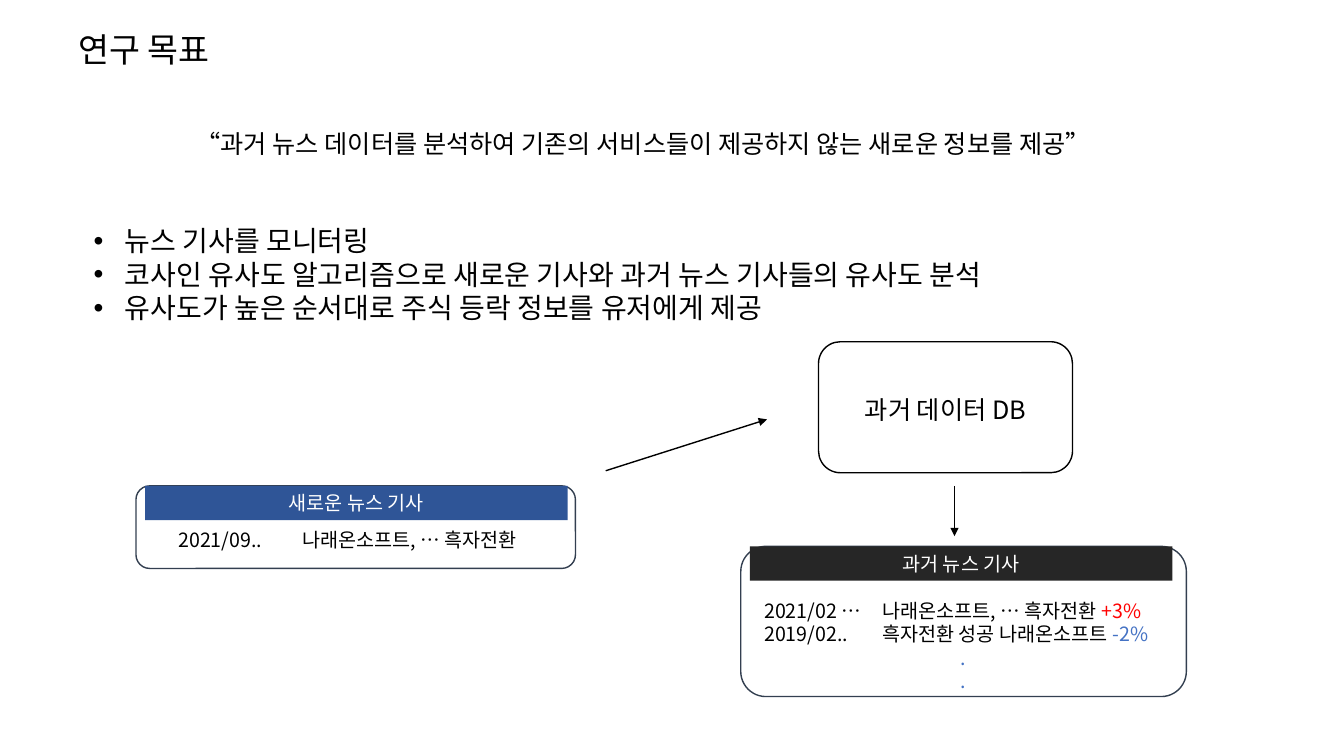
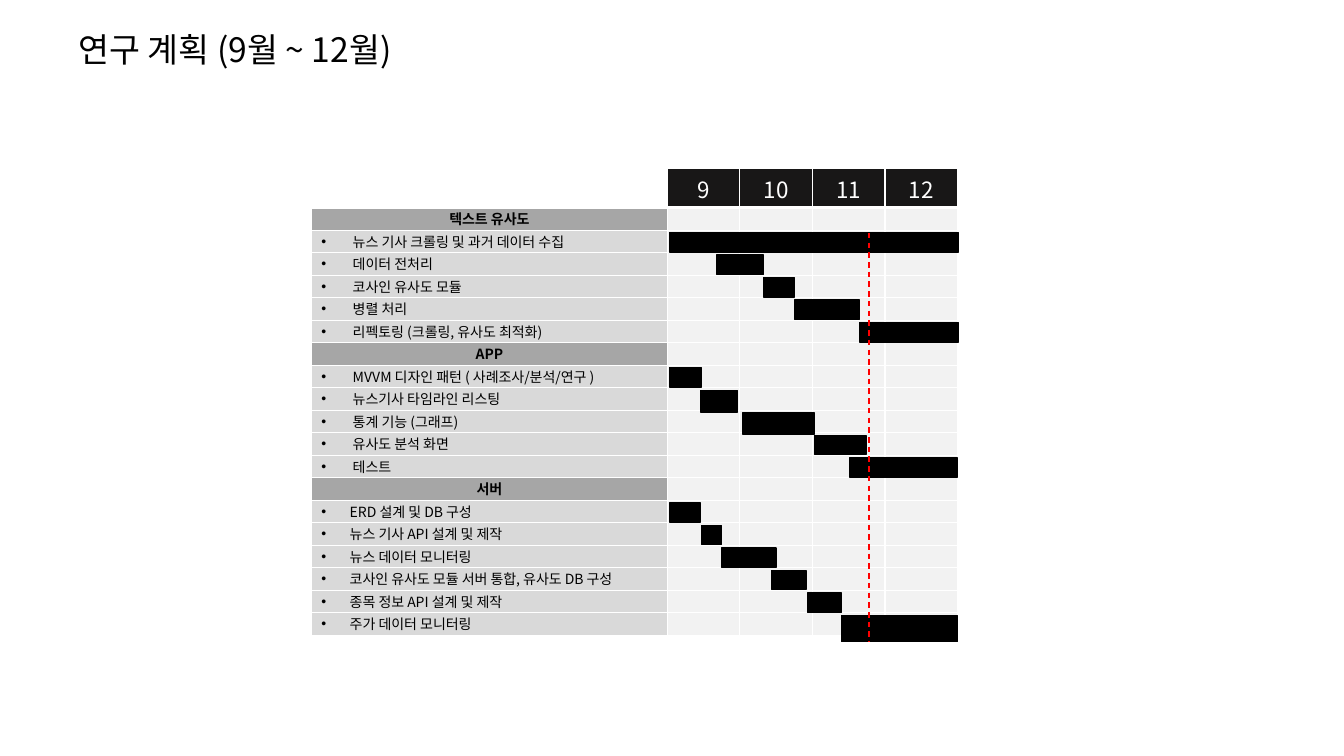
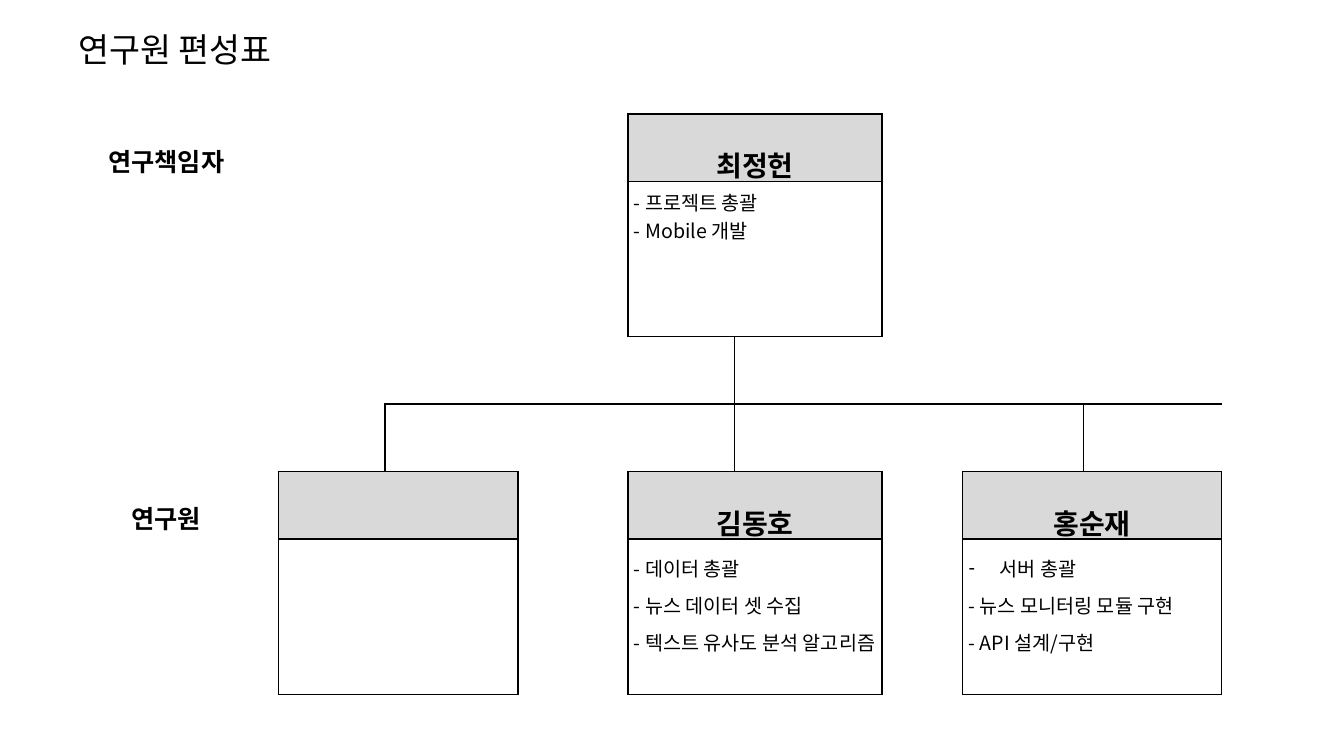
import pptx
import pptx.util
import pptx.dml.color
import pptx.enum.dml
import pptx.enum.shapes
import pptx.enum.text
import pptx.oxml.ns
from lxml import etree

FONT = "Noto Sans CJK KR"
WIDE, HIGH = 13.33, 7.5
HUES = {
    "black": "000000", "white": "FFFFFF", "navy": "333F50", "blue": "2F5597",
    "sky": "4472C4", "red": "FF0000", "coal": "262626", "ink": "181717",
    "mid": "A6A6A6", "light": "D9D9D9", "pale": "F2F2F2",
}
KINDS = pptx.enum.shapes.MSO_SHAPE
ALIGN = pptx.enum.text.PP_ALIGN
MID = pptx.enum.text.MSO_ANCHOR.MIDDLE
TOP = pptx.enum.text.MSO_ANCHOR.TOP
Pt = pptx.util.Pt
Inch = pptx.util.Inches
qn = pptx.oxml.ns.qn


# Units: shares of the slide in percent
def across(part):
    return Inch(WIDE * part / 100)


def down(part):
    return Inch(HIGH * part / 100)


def place(x, y, w, h):
    return across(x), down(y), across(w), down(h)


def hue(name):
    return pptx.dml.color.RGBColor.from_string(HUES[name])


# Text
def write(par, runs, size, color="black", bold=False, align=ALIGN.LEFT,
          lead=None, mark=None, hang=0.31, tab=None):
    """Fill a paragraph; runs is a text or a list of (text, color)."""
    par.alignment = align
    if lead:
        par.line_spacing = lead
    props = par._p.get_or_add_pPr()
    if mark:
        props.set("marL", str(Inch(hang)))
        props.set("indent", str(-Inch(hang)))
        etree.SubElement(props, qn("a:buFont"), typeface="Arial")
        etree.SubElement(props, qn("a:buChar"), char=mark)
    if tab:
        tabs = etree.SubElement(props, qn("a:tabLst"))
        etree.SubElement(tabs, qn("a:tab"), pos=str(Inch(tab)), algn="l")
    for text, tint in [(runs, color)] if isinstance(runs, str) else runs:
        run = par.add_run()
        run.text = text
        run.font.name = FONT
        run.font.size = Pt(size)
        run.font.bold = bold
        run.font.color.rgb = hue(tint)
        etree.SubElement(run._r.get_or_add_rPr(), qn("a:ea"), typeface=FONT)


def lines(frame, items, size, **style):
    """Write items as paragraphs; an item may be (runs, own style)."""
    frame.word_wrap = True
    for num, item in enumerate(items):
        runs, own = item if isinstance(item, tuple) else (item, {})
        par = frame.add_paragraph() if num else frame.paragraphs[0]
        write(par, runs, size, **{**style, **own})


def note(slide, spot, items, size, **style):
    box = slide.shapes.add_textbox(*place(*spot))
    lines(box.text_frame, items, size, **style)


# Shapes and lines
def block(slide, kind, spot, fill, edge=None):
    shape = slide.shapes.add_shape(kind, *place(*spot))
    shape.shadow.inherit = False
    shape.fill.solid()
    shape.fill.fore_color.rgb = hue(fill)
    if edge:
        shape.line.color.rgb = hue(edge)
        shape.line.width = Pt(1)
    else:
        shape.line.fill.background()
    shape.text_frame.vertical_anchor = MID
    return shape


def card(slide, spot, edge, items, size, gap=0.05, side=0.1, **style):
    frame = block(slide, KINDS.ROUNDED_RECTANGLE, spot, "white", edge).text_frame
    frame.margin_top, frame.margin_bottom = Inch(gap), Inch(0)
    frame.margin_left = frame.margin_right = Inch(side)
    lines(frame, items, size, **style)


def label(slide, x, y, fill, text):
    bar = block(slide, KINDS.RECTANGLE, (x, y, 31.43, 4.53), fill)
    lines(bar.text_frame, [text], 14, color="white", align=ALIGN.CENTER)


def rule(slide, start, end, color, arrow=False, dash=False):
    line = slide.shapes.add_connector(
        pptx.enum.shapes.MSO_CONNECTOR.STRAIGHT,
        across(start[0]), down(start[1]), across(end[0]), down(end[1]))
    line.line.color.rgb = hue(color)
    line.line.width = Pt(1)
    if dash:
        line.line.dash_style = pptx.enum.dml.MSO_LINE.DASH
    if arrow:
        etree.SubElement(line.line._get_or_add_ln(), qn("a:tailEnd"),
                         type="triangle")
    etree.SubElement(line._element.spPr, qn("a:effectLst"))


# Tables
def grid(slide, x, y, cols, rows):
    table = slide.shapes.add_table(
        len(rows), len(cols), *place(x, y, sum(cols), sum(rows))).table
    table.first_row = table.horz_banding = False
    for col, part in zip(table.columns, cols):
        col.width = across(part)
    for row, part in zip(table.rows, rows):
        row.height = down(part)
    return table


def border(cell, edges):
    """Set (color, width) or None for left, right, top and bottom."""
    props = cell._tc.get_or_add_tcPr()
    for side, edge in zip("LRTB", edges):
        line = etree.SubElement(props, qn("a:ln" + side))
        if edge:
            line.set("w", str(Pt(edge[1])))
            fill = etree.SubElement(line, qn("a:solidFill"))
            etree.SubElement(fill, qn("a:srgbClr"), val=HUES[edge[0]])
        else:
            etree.SubElement(line, qn("a:noFill"))


def paint(cell, fill=None):
    if fill:
        cell.fill.solid()
        cell.fill.fore_color.rgb = hue(fill)
    else:
        cell.fill.background()


def pad(cell, side, rise, anchor=MID):
    cell.margin_left = cell.margin_right = Inch(side)
    cell.margin_top = cell.margin_bottom = Inch(rise)
    cell.vertical_anchor = anchor


def blank(cell):
    pad(cell, 0, 0)
    etree.SubElement(cell.text_frame.paragraphs[0]._p,
                     qn("a:endParaRPr"), sz="800")


# Slides
def start(deck, title):
    slide = deck.slides.add_slide(deck.slide_layouts[6])
    note(slide, (5.1, 3.2, 40, 6.67), [title], 24)
    return slide


def goal(deck):
    slide = start(deck, "연구 목표")
    note(slide, (6.22, 28.93, 82.05, 14.8), [
        "뉴스 기사를 모니터링",
        "코사인 유사도 알고리즘으로 새로운 기사와 과거 뉴스 기사들의 유사도 분석",
        "유사도가 높은 순서대로 주식 등락 정보를 유저에게 제공",
    ], 20, mark="•")
    note(slide, (13.8, 16.27, 78.07, 9.47), [
        "“과거 뉴스 데이터를 분석하여 기존의 서비스들이 제공하지 않는 새로운 정보를 제공”",
    ], 18)

    # New article
    card(slide, (10.12, 64.27, 32.7, 10.93), "navy",
         ["2021/09..\t나래온소프트, … 흑자전환"], 14,
         gap=0.24, side=0.38, tab=1.23)
    label(slide, 10.8, 64.27, "blue", "새로운 뉴스 기사")

    # Past articles
    dot = ([(".", "sky")], {"align": ALIGN.CENTER})
    card(slide, (55.12, 72.27, 33.15, 19.87), "navy", [
        ([("2021/02 …\t나래온소프트, … 흑자전환 ", "black"), ("+3%", "red")],
         {"tab": 1.17}),
        ([("2019/02..\t흑자전환 성공 나래온소프트 ", "black"), ("-2%", "sky")],
         {"tab": 1.17}),
        dot, dot,
    ], 14, gap=0.48, side=0.16)
    label(slide, 55.8, 72.27, "coal", "과거 뉴스 기사")

    # Database and flow
    card(slide, (60.9, 45.2, 18.9, 17.33), "black", ["과거 데이터 DB"], 18,
         align=ALIGN.CENTER)
    rule(slide, (45.07, 62.27), (57.07, 55.47), "black", arrow=True)
    rule(slide, (71.02, 64.27), (71.02, 70.93), "black", arrow=True)


# Group, bullet indent, tasks as (name, start, length in months, bar height)
PLAN = [
    ("텍스트 유사도", 0.31, [
        ("뉴스 기사 크롤링 및 과거 데이터 수집", 0.03, 3.98, 2.55),
        ("데이터 전처리", 0.68, 0.65, 2.55),
        ("코사인 유사도 모듈", 1.33, 0.42, 2.55),
        ("병렬 처리", 1.75, 0.9, 2.55),
        ("리펙토링 (크롤링, 유사도 최적화)", 2.65, 1.36, 2.55)]),
    ("APP", 0.31, [
        ("MVVM 디자인 패턴 ( 사례조사/분석/연구 )", 0.03, 0.44, 2.55),
        ("뉴스기사 타임라인 리스팅", 0.46, 0.51, 2.9),
        ("통계 기능 (그래프)", 1.04, 0.99, 2.8),
        ("유사도 분석 화면", 2.03, 0.71, 2.55),
        ("테스트", 2.51, 1.49, 2.55)]),
    ("서버", 0.28, [
        ("ERD 설계 및 DB 구성", 0.03, 0.43, 2.55),
        ("뉴스 기사 API 설계 및 제작", 0.47, 0.28, 2.55),
        ("뉴스 데이터 모니터링", 0.75, 0.75, 2.55),
        ("코사인 유사도 모듈 서버 통합, 유사도 DB 구성", 1.44, 0.47, 2.55),
        ("종목 정보 API 설계 및 제작", 1.93, 0.47, 2.55),
        ("주가 데이터 모니터링", 2.4, 1.6, 3.47)]),
]


def plan(deck):
    slide = start(deck, "연구 계획 (9월 ~ 12월)")
    left, top, name, month, head, step = 23.17, 22.27, 26.48, 5.4, 5.2, 2.98
    count = sum(1 + len(tasks) for _, _, tasks in PLAN)
    table = grid(slide, left, top, [name] + [month] * 4, [head] + [step] * count)

    # Cells without text, month heads
    thin, thick = ("white", 1), ("white", 3)
    for row in range(count + 1):
        for col in range(5):
            cell = table.cell(row, col)
            border(cell, (thin, thin, thick if row == 1 else thin,
                          thin if row else thick))
            if row and col:
                paint(cell, "pale")
                blank(cell)
            elif col:
                paint(cell, "ink")
                pad(cell, 0, 0.04)
                lines(cell.text_frame, [str(8 + col)], 16, color="white",
                      align=ALIGN.CENTER)
            elif not row:
                paint(cell)
                blank(cell)

    # Task names and bars
    row = 0
    for group, hang, tasks in PLAN:
        row += 1
        cell = table.cell(row, 0)
        paint(cell, "mid")
        pad(cell, 0.1, 0.01)
        lines(cell.text_frame, [group], 10, bold=True, align=ALIGN.CENTER)
        for task, begin, span, tall in tasks:
            row += 1
            cell = table.cell(row, 0)
            paint(cell, "light")
            pad(cell, 0.1, 0.01)
            lines(cell.text_frame, [task], 10, mark="•", hang=hang)
            block(slide, KINDS.RECTANGLE,
                  (left + name + begin * month,
                   top + head + step * (row - 1) + 0.32,
                   span * month, tall), "black", "black")
    rule(slide, (64.65, 30.8), (64.65, 84.93), "red", dash=True)


def team(deck):
    slide = start(deck, "연구원 편성표")
    table = grid(slide, 4.05, 15.07,
                 [16.65, 7.95, 9.9, 8.18, 7.95, 10.95, 6, 9, 10.28],
                 [8.93, 20.53, 8.93, 8.93, 8.93, 20.53])
    boxes = [(0, 4), (1, 4)] + [(r, c) for r in (4, 5) for c in (1, 4, 7)]
    for row in (0, 1, 2, 4, 5):
        for col in (1, 7) if row == 2 else (1, 4, 7):
            table.cell(row, col).merge(table.cell(row, col + 1))

    # Edges: flat ones lie above a row, tall ones left of a column
    flat = {(3, c) for c in range(2, 9)}
    tall = {(2, 5), (3, 2), (3, 5), (3, 8)}
    for row, col in boxes:
        flat |= {(r, c) for r in (row, row + 1) for c in (col, col + 1)}
        tall |= {(row, col), (row, col + 2)}
    for row in range(6):
        for col in range(9):
            cell = table.cell(row, col)
            end = col + (cell.span_width if cell.is_merge_origin else 1)
            sides = ((row, col) in tall, (row, end) in tall,
                     (row, col) in flat, (row + 1, col) in flat)
            border(cell, [("black", 1.1) if on else None for on in sides])
            gray = row in (0, 4) and (row, col) in boxes
            paint(cell, "light" if gray else None)

    # Roles and names
    for row, col, text, size in [
            (0, 0, "연구책임자", 18), (0, 4, "최정헌", 20), (4, 0, "연구원", 18),
            (4, 4, "김동호", 20), (4, 7, "홍순재", 20)]:
        cell = table.cell(row, col)
        pad(cell, 0.06, 0.06)
        lines(cell.text_frame, [text], size, bold=True, align=ALIGN.CENTER,
              lead=1.6)

    # Duties
    even = {"align": ALIGN.JUSTIFY, "lead": 1.3}
    for row, col, items, style in [
            (1, 4, ["- 프로젝트 총괄", "- Mobile 개발"], {}),
            (5, 4, ["- 데이터 총괄", "- 뉴스 데이터 셋 수집",
                    "- 텍스트 유사도 분석 알고리즘"], even),
            (5, 7, [("서버 총괄", {"mark": "-"}), "- 뉴스 모니터링 모듈 구현",
                    "- API 설계/구현"], even)]:
        cell = table.cell(row, col)
        pad(cell, 0.06, 0.06, TOP)
        lines(cell.text_frame, items, 14, **style)


def main():
    deck = pptx.Presentation()
    deck.slide_width, deck.slide_height = Inch(WIDE), Inch(HIGH)
    goal(deck)
    plan(deck)
    team(deck)
    deck.save("out.pptx")


if __name__ == "__main__":
    main()
